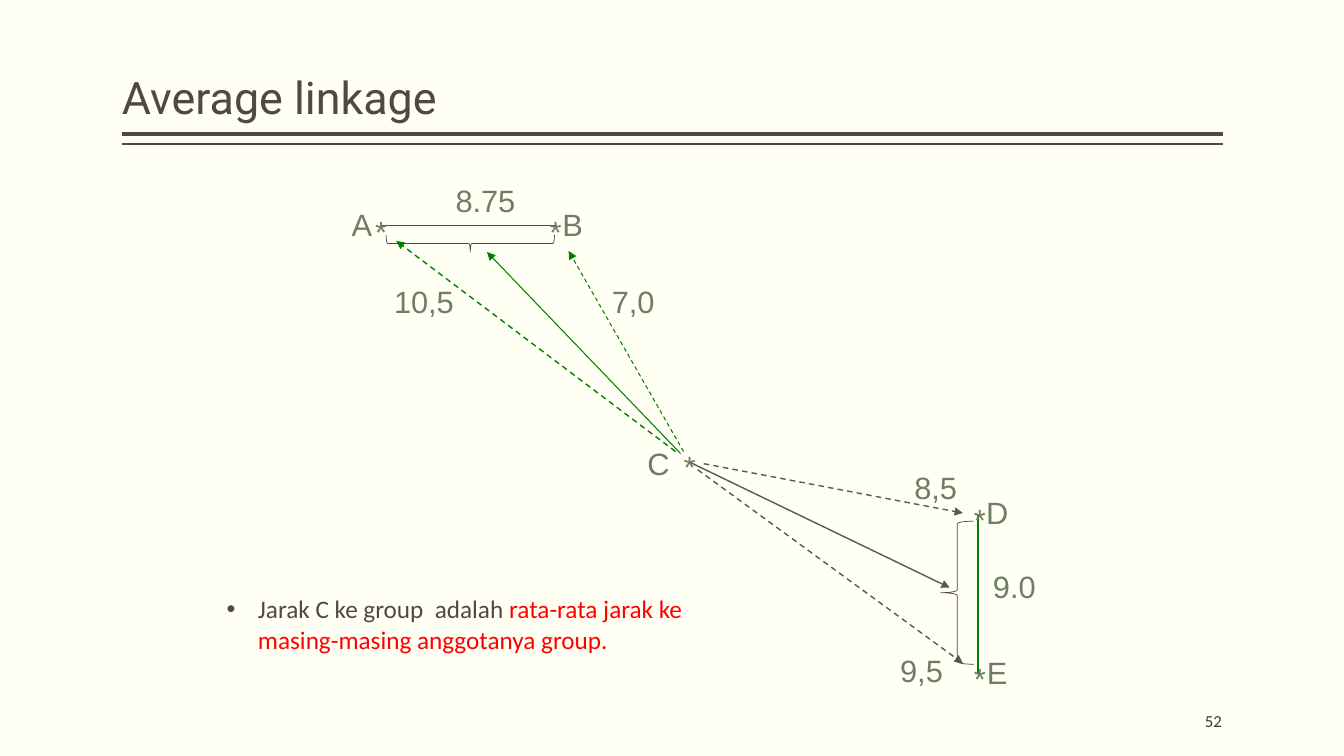
from lxml.etree import SubElement
from pptx import Presentation
from pptx.dml.color import RGBColor
from pptx.enum.dml import MSO_LINE_DASH_STYLE as DASH
from pptx.enum.shapes import MSO_CONNECTOR, MSO_SHAPE
from pptx.enum.text import MSO_ANCHOR as ANCHOR, PP_ALIGN as ALIGN
from pptx.oxml.ns import qn
from pptx.util import Emu, Pt

PX = 9144  # 100 px to the inch
COLORS = {
    "paper": "FFFFF3",
    "brown": "514843",
    "number": "3D3632",
    "red": "FF0000",
    "green": "008000",
    "olive": "525E4C",
    "label": "6D7D66",
    "brace": "504641",
}


def px(value):
    return Emu(value * PX)


def color(name):
    return RGBColor.from_string(COLORS[name])


def add_text(page, frame, runs, size, font, align=ALIGN.LEFT,
             anchor=ANCHOR.TOP, inset=(10, 5), wrap=True):
    """Add a one-paragraph box; runs holds (text, colour name) pairs."""
    box = page.shapes.add_textbox(*map(px, frame))
    text = box.text_frame
    text.word_wrap = wrap
    text.vertical_anchor = anchor
    text.margin_left = text.margin_right = px(inset[0])
    text.margin_top = text.margin_bottom = px(inset[1])
    para = text.paragraphs[0]
    para.alignment = align
    for words, ink in runs:
        span = para.add_run()
        span.text = words
        span.font.size = Pt(size)
        span.font.name = font
        span.font.color.rgb = color(ink)
    return para


def add_label(page, frame, words, **options):
    add_text(page, frame, [(words, "label")], 22, "Arial", wrap=False, **options)


def add_point(page, name, name_frame, star_at):
    add_label(page, (*star_at, 12, 37), "*", anchor=ANCHOR.MIDDLE, inset=(0, 0))
    add_label(page, name_frame, name, align=ALIGN.CENTER, anchor=ANCHOR.MIDDLE)


def add_line(page, start, end, ink, width=1, dashed=False, arrow=False):
    line = page.shapes.add_connector(
        MSO_CONNECTOR.STRAIGHT, *map(px, (*start, *end)))
    line.line.color.rgb = color(ink)
    line.line.width = Pt(width)
    if dashed:
        line.line.dash_style = DASH.DASH
    if arrow:
        SubElement(line.line._get_or_add_ln(), qn("a:tailEnd"), type="triangle")
    SubElement(line._element.spPr, qn("a:effectLst"))


def add_brace(page, frame, rotation=0):
    brace = page.shapes.add_shape(MSO_SHAPE.LEFT_BRACE, *map(px, frame))
    brace.rotation = rotation
    brace.shadow.inherit = False
    brace.fill.background()
    brace.line.color.rgb = color("brace")
    brace.line.width = Pt(0.5)


def add_bullet(para, indent):
    props = para._p.get_or_add_pPr()
    props.set("marL", str(px(indent)))
    props.set("indent", str(px(-indent)))
    SubElement(props, qn("a:buFont"), typeface="Arial")
    SubElement(props, qn("a:buChar"), char="•")


def main():
    deck = Presentation()
    deck.slide_width, deck.slide_height = px(1333), px(750)
    page = deck.slides.add_slide(deck.slide_layouts[6])
    page.background.fill.solid()
    page.background.fill.fore_color.rgb = color("paper")

    # Title with its double rule
    for y, width in ((133, 3), (143, 1)):
        add_line(page, (1213, y), (121, y), "brown", width)
    title = add_text(page, (121, 8, 1092, 120), [("Average linkage", "brown")],
                     32, "Roboto", anchor=ANCHOR.BOTTOM, inset=(0, 5))
    title.line_spacing = 0.9

    # Explanation and page number
    note = add_text(page, (215, 584, 551, 71), [
        ("Jarak C ke group  adalah ", "brown"),
        ("rata-rata jarak ke masing-masing anggotanya group.", "red"),
    ], 18, "Calibri")
    add_bullet(note, 31)
    add_text(page, (1012, 695, 200, 40), [("52", "number")], 12, "Calibri",
             align=ALIGN.RIGHT, anchor=ANCHOR.MIDDLE, inset=(0, 5))

    # Links inside the groups A-B and D-E
    add_line(page, (377, 224), (552, 224), "green")
    add_line(page, (970, 511), (970, 669), "green")

    # Distances from C: dashed to each member, solid to the group average
    for start, end, ink, width, dashed in (
        ((670, 448), (393, 239), "green", 1, True),
        ((678, 448), (564, 249), "green", 0.75, True),
        ((675, 450), (483, 250), "green", 0.75, False),
        ((698, 460), (955, 509), "olive", 1, True),
        ((692, 466), (955, 658), "olive", 1, True),
        ((683, 458), (942, 583), "olive", 1, False),
    ):
        add_line(page, start, end, ink, width, dashed, arrow=True)

    # Points
    for name, name_frame, star_at in (
        ("A", (339, 199, 40, 47), (372, 211)),
        ("B", (548, 199, 40, 47), (545, 211)),
        ("C", (632, 436, 42, 47), (678, 444)),
        ("D", (968, 485, 42, 47), (966, 497)),
        ("E", (969, 643, 40, 47), (966, 654)),
    ):
        add_point(page, name, name_frame, star_at)

    # Distance values
    for words, left, top, width in (
        ("10,5", 381, 276, 80),
        ("7,0", 597, 276, 63),
        ("8.75", 442, 175, 83),
        ("8,5", 897, 460, 63),
        ("9,5", 883, 642, 63),
        ("9.0", 975, 558, 63),
    ):
        add_label(page, (left, top, width, 47), words)

    # Group braces
    add_brace(page, (933, 517, 33, 142))
    add_brace(page, (458, 158, 17, 167), rotation=270)

    deck.save("out.pptx")


if __name__ == "__main__":
    main()
